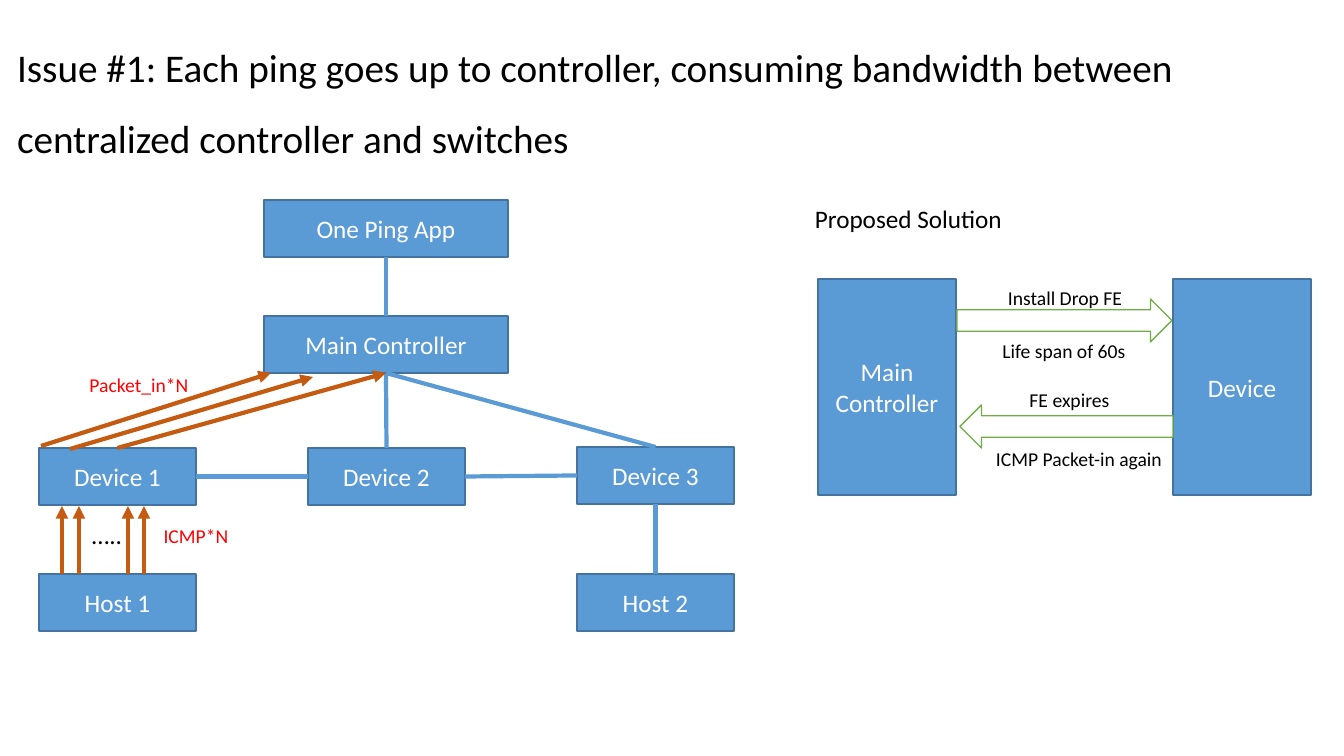
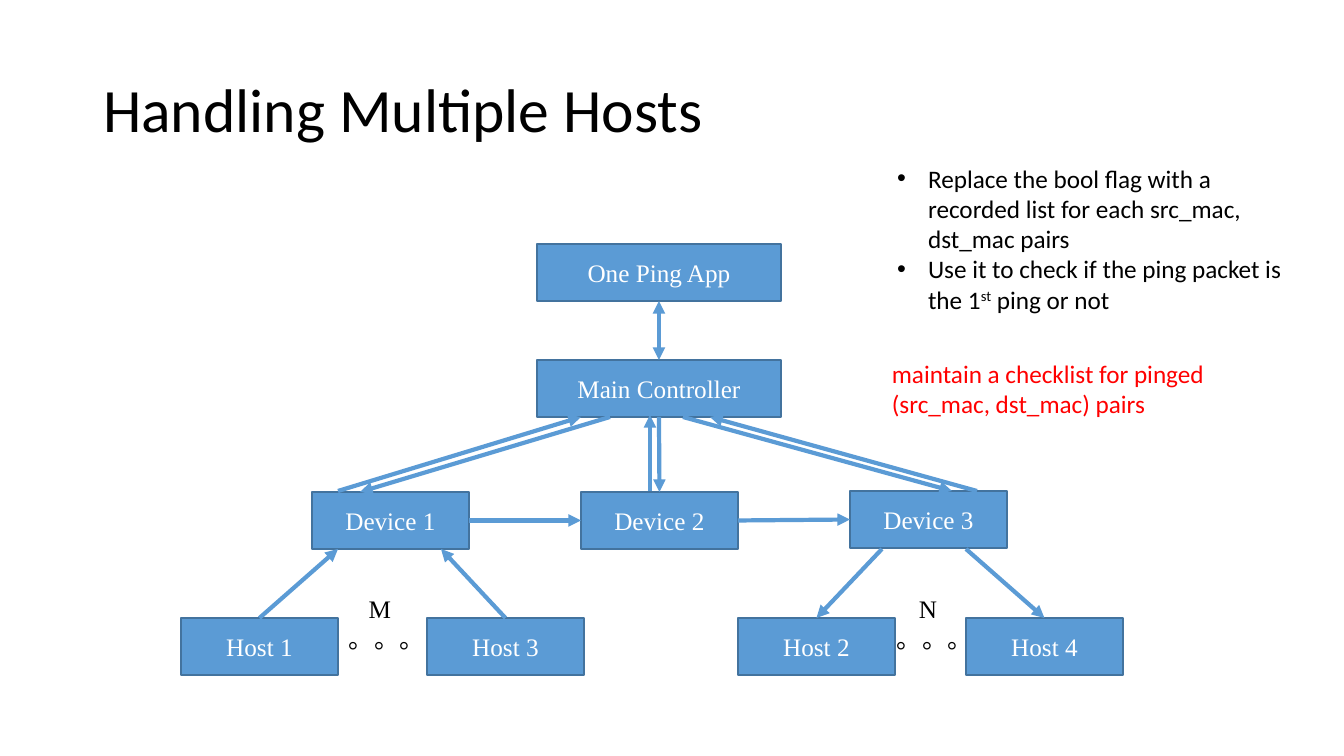
from lxml import etree
from pptx import Presentation
from pptx import util as u
from pptx.dml.color import RGBColor
from pptx.enum import shapes, text
from pptx.oxml.ns import qn

BLUE = RGBColor(0x5B, 0x9B, 0xD5)
EDGE = RGBColor(0x43, 0x73, 0x9E)
RUST = RGBColor(0xC5, 0x5A, 0x11)
GREEN = RGBColor(0x70, 0xAD, 0x47)
RED = RGBColor(0xFF, 0, 0)
BLACK = RGBColor(0, 0, 0)
WHITE = RGBColor(0xFF, 0xFF, 0xFF)
SANS, SERIF = "Calibri", "Times New Roman"
KIND = shapes.MSO_SHAPE
MID, LEFT = text.PP_ALIGN.CENTER, text.PP_ALIGN.LEFT
SCALE = 12192000 / 1344


def write(frame, lines, size, color, face=SANS, align=MID):
    for i, line in enumerate(lines):
        para = frame.add_paragraph() if i else frame.paragraphs[0]
        para.alignment = align
        for part in line if isinstance(line, list) else [line]:
            run = para.add_run()
            run.text = part
            run.font.size = u.Pt(size)
            run.font.name = face
            run.font.color.rgb = color


def link(page, start, end, color=BLUE, heads=("tailEnd",)):
    spots = []
    for spot in (start, end):
        spots += [0, 0] if hasattr(spot[0], "shape_type") else [int(n * SCALE) for n in spot]
    line = page.shapes.add_connector(shapes.MSO_CONNECTOR.STRAIGHT, *spots)
    if hasattr(start[0], "shape_type"):
        line.begin_connect(*start)
    if hasattr(end[0], "shape_type"):
        line.end_connect(*end)
    line.line.color.rgb = color
    line.line.width = u.Pt(3)
    prop = line._element.spPr
    for head in heads:
        etree.SubElement(prop.find(qn("a:ln")), qn("a:" + head), type="triangle")
    etree.SubElement(prop, qn("a:effectLst"))


deck = Presentation()
deck.slide_width, deck.slide_height = int(1344 * SCALE), int(756 * SCALE)
one = deck.slides.add_slide(deck.slide_layouts[5])
two = deck.slides.add_slide(deck.slide_layouts[1])

# Titles
for page, words, spot, size, gap in [
    (one, "Issue #1: Each ping goes up to controller, consuming bandwidth between "
     "centralized controller and switches", (7, -19, 1255, 219), 28, 1.5),
    (two, "Handling Multiple Hosts", (93, 40, 1159, 146), 44, 0.9),
]:
    head = page.shapes.title
    head.left, head.top, head.width, head.height = [int(n * SCALE) for n in spot]
    frame = head.text_frame
    frame.auto_size = text.MSO_AUTO_SIZE.NONE
    frame.vertical_anchor = text.MSO_ANCHOR.MIDDLE
    write(frame, [words], size, BLACK, align=LEFT)
    frame.paragraphs[0].line_spacing = gap

# Boxes
nets = []
for page, x, y, face, hosts in [
    (one, 264, 200, SANS, [("Host 1", 39), ("Host 2", 577)]),
    (two, 537, 244, SERIF, [("Host 1", 181), ("Host 3", 427), ("Host 2", 738), ("Host 4", 966)]),
]:
    plan = [("One Ping App", x, y, 244, 57), ("Main Controller", x, y + 116, 244, 57)]
    plan += [(f"Device {i + 1}", x - 225 + i * 269, y + (248, 248, 247)[i], 157, 57)
             for i in range(3)]
    plan += [(name, left, y + 374, 157, 57) for name, left in hosts]
    if page is one:
        plan += [("Main Controller", 818, 279, 138, 216), ("Device", 1173, 279, 138, 216)]
    net = []
    for name, *spot in plan:
        box = page.shapes.add_shape(KIND.RECTANGLE, *[int(n * SCALE) for n in spot])
        box.shadow.inherit = False
        box.fill.solid()
        box.fill.fore_color.rgb = BLUE
        box.line.color.rgb = EDGE
        box.line.width = u.Pt(1)
        box.text_frame.word_wrap = True
        box.text_frame.vertical_anchor = text.MSO_ANCHOR.MIDDLE
        write(box.text_frame, [name], 18, WHITE, face)
        net.append(box)
    nets.append(net)

# Links on the first slide
app, ctl, dev1, dev2, dev3, host1, host2 = nets[0][:7]
for start, end in [
    ((app, 2), (ctl, 0)), ((ctl, 2), (dev2, 0)), ((ctl, 2), (dev3, 0)),
    ((dev1, 3), (dev2, 1)), ((dev2, 3), (dev3, 1)), ((dev3, 2), (host2, 0)),
]:
    link(one, start, end, heads=())
for start, end in [((dev1, 0), (ctl, 2)), ((70, 449), (313, 377)), ((41, 446), (271, 373))]:
    link(one, start, end, RUST)
for x in (62, 79, 128, 144):
    link(one, (x, 574), (x, 506), RUST)

# Links on the second slide
app, ctl, dev1, dev2, dev3, host1, host3, host2, host4 = nets[1]
link(two, (app, 2), (ctl, 0), heads=("headEnd", "tailEnd"))
for start, end in [
    ((610, 417), (360, 492)), ((338, 491), (581, 417)),
    ((ctl, 2), (dev2, 0)), ((650, 491), (650, 415)),
    ((683, 417), (952, 491)), ((977, 491), (710, 417)),
    ((dev1, 3), (dev2, 1)), ((dev2, 3), (dev3, 1)),
    ((host1, 0), (338, 549)), ((host3, 0), (441, 549)),
    ((882, 549), (host2, 0)), ((966, 549), (host4, 0)),
]:
    link(two, start, end)

# Block arrows
for kind, *spot in [(KIND.RIGHT_ARROW, 957, 299, 215, 43), (KIND.LEFT_ARROW, 960, 405, 213, 43)]:
    flow = one.shapes.add_shape(kind, *[int(n * SCALE) for n in spot])
    flow.shadow.inherit = False
    flow.fill.solid()
    flow.fill.fore_color.rgb = WHITE
    flow.line.color.rgb = GREEN
    flow.line.width = u.Pt(1)

# Labels
for page, lines, spot, size, color, face, align, wrap in [
    (one, ["….."], (82, 514, 50, 40), 18, BLACK, SANS, MID, False),
    (one, ["ICMP*N"], (153, 519, 86, 34), 14, RED, SANS, MID, False),
    (one, ["Packet_in*N"], (79, 368, 120, 34), 14, RED, SANS, MID, False),
    (one, ["Proposed Solution"], (805, 198, 210, 40), 18, BLACK, SANS, LEFT, False),
    (one, ["Install Drop FE"], (997, 281, 136, 34), 14, BLACK, SANS, MID, False),
    (one, ["Life span of 60s"], (992, 334, 144, 34), 14, BLACK, SANS, MID, False),
    (one, ["FE expires"], (1019, 383, 101, 34), 14, BLACK, SANS, MID, False),
    (one, ["ICMP Packet-in again"], (982, 442, 194, 34), 14, BLACK, SANS, MID, False),
    (two, ["M", "。。。"], (339, 588, 82, 72), 18, BLACK, SERIF, MID, True),
    (two, ["N", "。。。"], (887, 588, 82, 72), 18, BLACK, SERIF, MID, True),
    (two, ["maintain a checklist for pinged (src_mac, dst_mac) pairs"],
     (882, 353, 347, 72), 18, RED, SANS, LEFT, True),
]:
    frame = page.shapes.add_textbox(*[int(n * SCALE) for n in spot]).text_frame
    frame.word_wrap = wrap
    write(frame, lines, size, color, face, align)
    if len(lines) > 1:
        frame.paragraphs[1].alignment = LEFT

# Bullet list
body = two.placeholders[1]
body.left, body.top, body.width, body.height = [int(n * SCALE) for n in (887, 158, 425, 163)]
frame = body.text_frame
frame.auto_size = text.MSO_AUTO_SIZE.NONE
write(frame, [
    "Replace the bool flag with a recorded list for each src_mac, dst_mac pairs",
    ["Use it to check if the ping packet is the 1", "st", " ping or not"],
], 18, BLACK, align=LEFT)
for para in frame.paragraphs:
    para.space_before = u.Pt(0)
    prop = para._p.get_or_add_pPr()
    prop.set("marL", str(int(31 * SCALE)))
    prop.set("indent", str(int(-31 * SCALE)))
frame.paragraphs[1].runs[1]._r.get_or_add_rPr().set("baseline", "30000")

deck.save("out.pptx")
